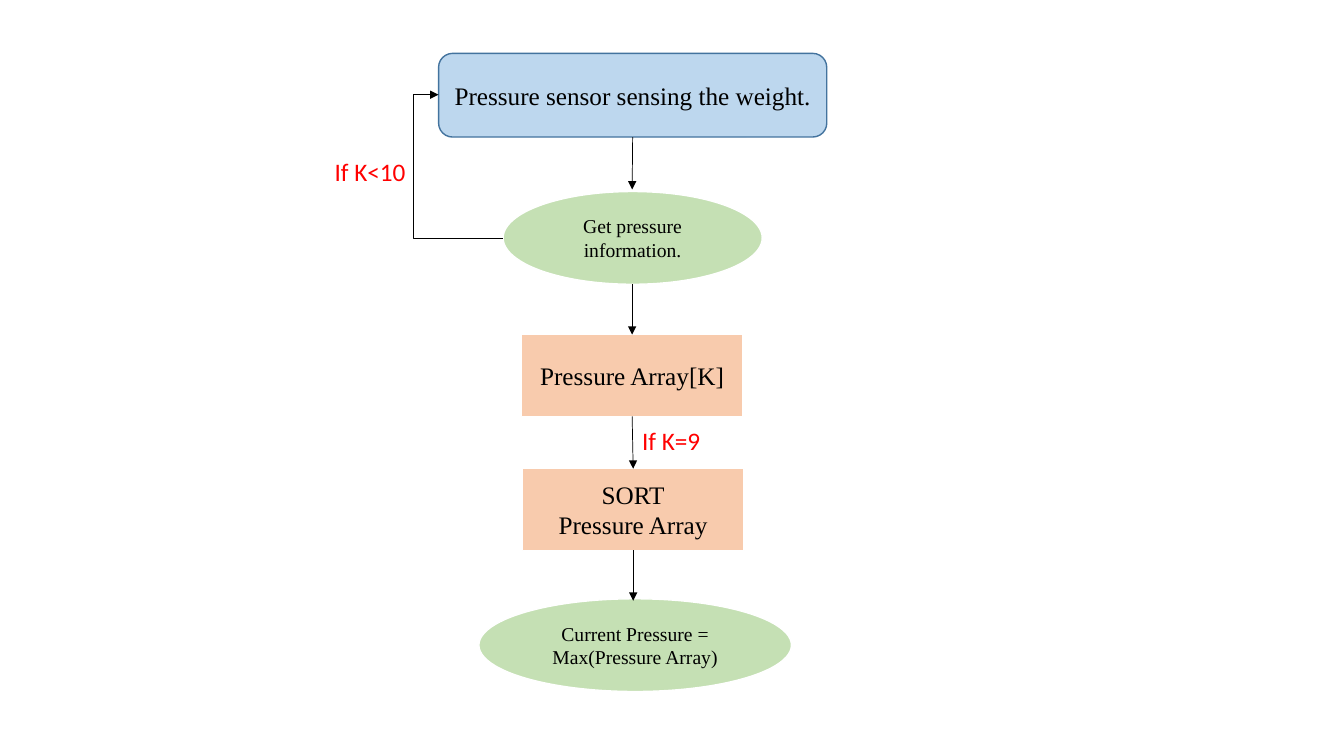
from lxml import etree
from pptx import Presentation
from pptx.dml.color import RGBColor
from pptx.enum.shapes import MSO_CONNECTOR, MSO_SHAPE
from pptx.enum.text import MSO_ANCHOR, MSO_AUTO_SIZE, PP_ALIGN
from pptx.oxml.ns import qn
from pptx.util import Inches, Pt


def color(hex_value):
    return RGBColor.from_string(hex_value)


def add_arrow(kind, start, end):
    arrow = slide.shapes.add_connector(kind, *map(Inches, start + end))
    arrow.line.color.rgb = color("000000")
    arrow.line.width = Pt(0.5)
    etree.SubElement(arrow.line._get_or_add_ln(), qn("a:tailEnd"), type="triangle")
    etree.SubElement(arrow._element.spPr, qn("a:effectLst"))
    return arrow


prs = Presentation()
prs.slide_width, prs.slide_height = Inches(13.33), Inches(7.5)
slide = prs.slides.add_slide(prs.slide_layouts[6])

# Flowchart steps: shape, left, top, width, height, fill, line, size, text
BLUE, GREEN, ORANGE = "BDD7EE", "C5E0B4", "F8CBAD"
steps = [
    (MSO_SHAPE.ROUNDED_RECTANGLE, 4.35, 0.53, 3.85, 0.83, BLUE, "43739E", 18,
     "Pressure sensor sensing the weight."),
    (MSO_SHAPE.OVAL, 4.99, 1.9, 2.57, 0.92, GREEN, "FFFFFF", 14,
     "Get pressure information."),
    (MSO_SHAPE.RECTANGLE, 5.17, 3.32, 2.2, 0.81, ORANGE, "FFFFFF", 18,
     "Pressure Array[K]"),
    (MSO_SHAPE.RECTANGLE, 5.18, 4.65, 2.2, 0.81, ORANGE, "FFFFFF", 18,
     "SORT\nPressure Array"),
    (MSO_SHAPE.OVAL, 4.75, 5.94, 3.1, 0.92, GREEN, "FFFFFF", 14,
     "Current Pressure = Max(Pressure Array)"),
]
boxes = []
for kind, left, top, width, height, fill, line, size, text in steps:
    box = slide.shapes.add_shape(kind, *map(Inches, (left, top, width, height)))
    box.shadow.inherit = False
    box.fill.solid()
    box.fill.fore_color.rgb = color(fill)
    box.line.color.rgb = color(line)
    box.line.width = Pt(1)
    box.text_frame.text = text
    box.text_frame.vertical_anchor = MSO_ANCHOR.MIDDLE
    for paragraph in box.text_frame.paragraphs:
        paragraph.alignment = PP_ALIGN.CENTER
        font = paragraph.runs[0].font
        font.name, font.size = "Times New Roman", Pt(size)
        font.color.rgb = color("000000")
    boxes.append(box)
sensing, reading, storing, sorting, result = boxes

# Arrows down the flow
sensing_to_reading = add_arrow(MSO_CONNECTOR.STRAIGHT, (6.27, 1.36), (6.27, 1.88))
sensing_to_reading.begin_connect(sensing, 2)
reading_to_storing = add_arrow(MSO_CONNECTOR.STRAIGHT, (6.27, 2.82), (6.27, 3.32))
reading_to_storing.end_connect(storing, 0)
storing_to_sorting = add_arrow(MSO_CONNECTOR.STRAIGHT, (6.27, 4.13), (6.28, 4.65))
storing_to_sorting.begin_connect(storing, 2)
storing_to_sorting.end_connect(sorting, 0)
sorting_to_result = add_arrow(MSO_CONNECTOR.STRAIGHT, (6.28, 5.46), (6.28, 5.96))
sorting_to_result.begin_connect(sorting, 2)

# Loop back to the sensor, bending out to the left of both steps
loop = add_arrow(MSO_CONNECTOR.ELBOW, (4.99, 2.36), (4.35, 0.94))
bend = loop._element.spPr.find(qn("a:prstGeom")).get_or_add_avLst()
etree.SubElement(bend, qn("a:gd"), name="adj1", fmla="val 139000")

# Conditions
for text, left, top, width in [("If K<10", 3.22, 1.5, 0.91), ("If K=9", 6.27, 4.17, 0.79)]:
    condition = slide.shapes.add_textbox(*map(Inches, (left, top, width, 0.4)))
    condition.text_frame.text = text
    condition.text_frame.word_wrap = False
    condition.text_frame.auto_size = MSO_AUTO_SIZE.SHAPE_TO_FIT_TEXT
    font = condition.text_frame.paragraphs[0].runs[0].font
    font.name, font.size = "Calibri", Pt(18)
    font.color.rgb = color("FF0000")

prs.save("out.pptx")
